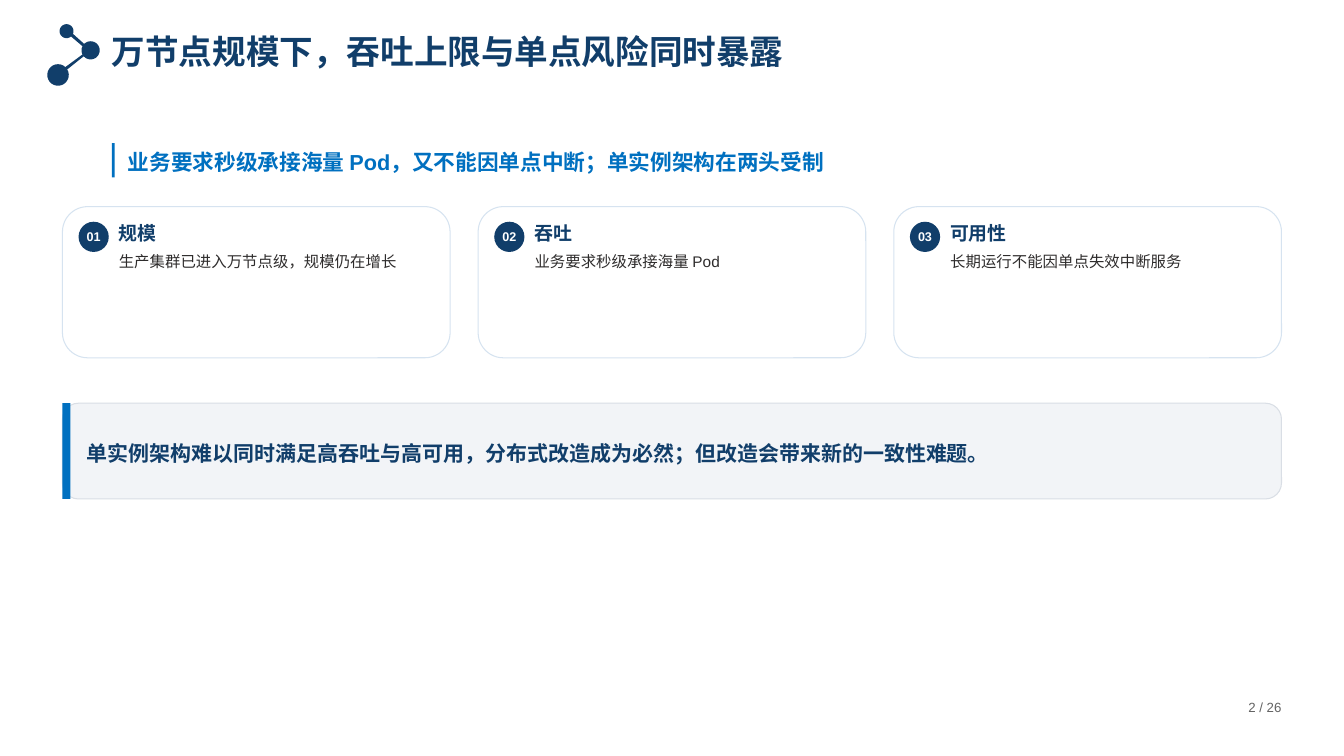
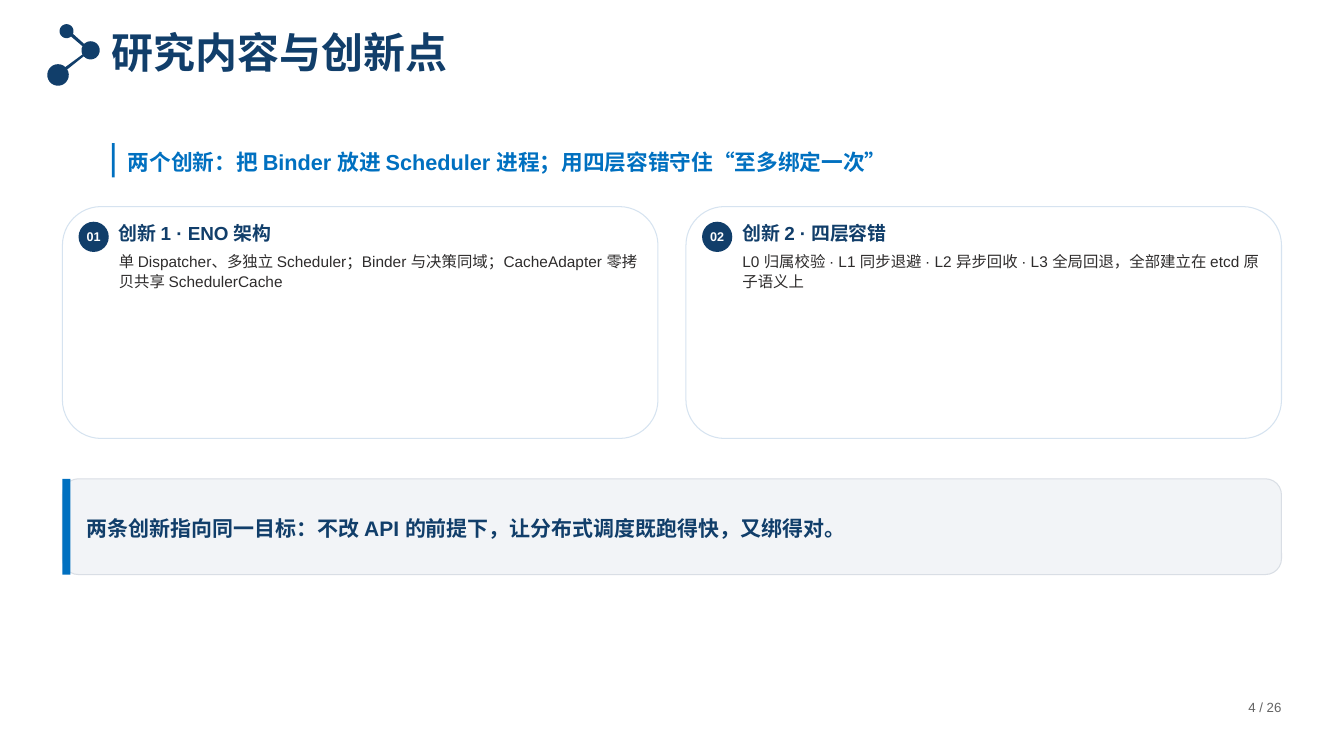
from dataclasses import dataclass
from math import cos, radians, sin

from pptx import Presentation
from pptx.dml.color import RGBColor
from pptx.enum.shapes import MSO_SHAPE
from pptx.enum.text import MSO_ANCHOR, PP_ALIGN
from pptx.util import Pt


@dataclass(frozen=True)
class Theme:
    font: str = "Arial"
    navy: str = "113E6A"
    blue: str = "0070C0"
    white: str = "FFFFFF"
    ink: str = "2E2C2C"
    grey: str = "636363"
    card_line: str = "D6E3F0"
    band_fill: str = "F2F4F7"
    band_line: str = "D9DEE5"
    lead_size: float = 15.5
    band_size: float = 15
    heading_size: float = 13.5
    body_size: float = 11
    footer_size: float = 9.5
    badge_size: float = 9


@dataclass(frozen=True)
class Box:
    left: float
    top: float
    width: float
    height: float

    def inner(self, left, top, width, height):
        return Box(self.left + left, self.top + top, width, height)

    def lengths(self):
        return Pt(self.left), Pt(self.top), Pt(self.width), Pt(self.height)


THEME = Theme()
PAGE_WIDTH, PAGE_HEIGHT = 960.48, 540
MARGIN = 44.64
CONTENT_WIDTH = PAGE_WIDTH - 2 * MARGIN
TITLE_LEFT = 79.92
CARD_TOP, CARD_GAP = 147.6, 20
BAND_HEIGHT = 68.4
TOTAL_PAGES = 26


def paint(shape, fill, line=None):
    shape.shadow.inherit = False
    shape.fill.solid()
    shape.fill.fore_color.rgb = RGBColor.from_string(fill)
    if line:
        shape.line.color.rgb = RGBColor.from_string(line)
        shape.line.width = Pt(0.75)
    else:
        shape.line.fill.background()
    return shape


def add_figure(page, kind, box, fill, line=None):
    return paint(page.shapes.add_shape(kind, *box.lengths()), fill, line)


def prepare_frame(shape, anchor=MSO_ANCHOR.MIDDLE):
    frame = shape.text_frame
    frame.word_wrap = True
    frame.vertical_anchor = anchor
    frame.margin_left = frame.margin_top = frame.margin_right = frame.margin_bottom = 0
    return frame


def add_frame(page, box, anchor=MSO_ANCHOR.MIDDLE):
    return prepare_frame(page.shapes.add_textbox(*box.lengths()), anchor)


def write(frame, text, *, size, colour, bold=False, align=PP_ALIGN.LEFT,
          spacing=None, before=None):
    para = frame.paragraphs[0] if not frame.text else frame.add_paragraph()
    para.alignment = align
    if spacing:
        para.line_spacing = spacing
    if before:
        para.space_before = Pt(before)
    span = para.add_run()
    span.text = text
    span.font.name = THEME.font
    span.font.size = Pt(size)
    span.font.bold = bold
    span.font.color.rgb = RGBColor.from_string(colour)


def arc(centre_x, centre_y, radius, start, end, steps=24):
    angles = [radians(start + (end - start) * step / steps) for step in range(steps + 1)]
    return [(Pt(centre_x + radius * cos(angle)), Pt(centre_y + radius * sin(angle)))
            for angle in angles]


def add_node_icon(page, box):
    lower = (box.left + 7.7, box.top + 36.3, 7.7)
    middle = (box.left + 31, box.top + 18.7, 6.5)
    upper = (box.left + 13.8, box.top + 5, 5)
    outline = (arc(*lower, -31, 313) + arc(*middle, 153, 207)
               + arc(*upper, 50, 383) + arc(*middle, 225, 499))
    builder = page.shapes.build_freeform(*outline[0])
    builder.add_line_segments(outline[1:], close=True)
    paint(builder.convert_to_shape(), THEME.navy)


def add_header(page, box, title, size):
    add_node_icon(page, Box(33.8, 17.3, 37.5, 44))
    write(add_frame(page, box), title, size=size, colour=THEME.navy, bold=True)


def add_lead(page, box, text):
    add_figure(page, MSO_SHAPE.RECTANGLE, box.inner(0, 2.16, 2.16, 24.48), THEME.blue)
    frame = add_frame(page, box.inner(11.52, 0, box.width - 11.52, box.height))
    write(frame, text, size=THEME.lead_size, colour=THEME.blue, bold=True)


def add_card(page, box, number, heading, body):
    add_figure(page, MSO_SHAPE.ROUNDED_RECTANGLE, box, THEME.white, THEME.card_line)
    badge = add_figure(page, MSO_SHAPE.OVAL, box.inner(11.52, 10.8, 21.6, 21.6), THEME.navy)
    write(prepare_frame(badge), f"{number:02}", size=THEME.badge_size,
          colour=THEME.white, bold=True, align=PP_ALIGN.CENTER)
    frame = add_frame(page, box.inner(40.32, 10.8, box.width - 50.4, box.height - 15.84),
                      MSO_ANCHOR.TOP)
    write(frame, heading, size=THEME.heading_size, colour=THEME.navy, bold=True)
    write(frame, body, size=THEME.body_size, colour=THEME.ink, spacing=1.1, before=4)


def add_cards(page, box, cards):
    width = (box.width - CARD_GAP * (len(cards) - 1)) / len(cards)
    for index, (heading, body) in enumerate(cards):
        card = box.inner(index * (width + CARD_GAP), 0, width, box.height)
        add_card(page, card, index + 1, heading, body)


def add_conclusion(page, box, text):
    add_figure(page, MSO_SHAPE.ROUNDED_RECTANGLE, box, THEME.band_fill, THEME.band_line)
    add_figure(page, MSO_SHAPE.RECTANGLE, box.inner(0, 0, 5.76, box.height), THEME.blue)
    frame = add_frame(page, box.inner(17.28, 7.2, box.width - 36, box.height - 14.4))
    write(frame, text, size=THEME.band_size, colour=THEME.navy, bold=True, spacing=1.15)


def add_footer(page, box, number):
    write(add_frame(page, box, MSO_ANCHOR.TOP), f"{number} / {TOTAL_PAGES}",
          size=THEME.footer_size, colour=THEME.grey, align=PP_ALIGN.RIGHT)


def add_card_page(deck, *, number, title, title_size, lead, cards, card_height,
                  conclusion, conclusion_top):
    page = deck.slides.add_slide(deck.slide_layouts[6])
    add_header(page, Box(TITLE_LEFT, 12.24, 630, 48.96), title, title_size)
    add_lead(page, Box(TITLE_LEFT, 100.08, 817.92, 30.24), lead)
    add_cards(page, Box(MARGIN, CARD_TOP, CONTENT_WIDTH, card_height), cards)
    add_conclusion(page, Box(MARGIN, conclusion_top, CONTENT_WIDTH, BAND_HEIGHT), conclusion)
    add_footer(page, Box(PAGE_WIDTH - MARGIN - 67, 499.68, 67, 17.28), number)


def main():
    deck = Presentation()
    deck.slide_width, deck.slide_height = Pt(PAGE_WIDTH), Pt(PAGE_HEIGHT)
    add_card_page(
        deck,
        number=2,
        title="万节点规模下，吞吐上限与单点风险同时暴露",
        title_size=24,
        lead="业务要求秒级承接海量 Pod，又不能因单点中断；单实例架构在两头受制",
        cards=[
            ("规模", "生产集群已进入万节点级，规模仍在增长"),
            ("吞吐", "业务要求秒级承接海量 Pod"),
            ("可用性", "长期运行不能因单点失效中断服务"),
        ],
        card_height=108,
        conclusion="单实例架构难以同时满足高吞吐与高可用，分布式改造成为必然；但改造会带来新的一致性难题。",
        conclusion_top=288,
    )
    add_card_page(
        deck,
        number=4,
        title="研究内容与创新点",
        title_size=30,
        lead="两个创新：把 Binder 放进 Scheduler 进程；用四层容错守住“至多绑定一次”",
        cards=[
            ("创新 1 · ENO 架构",
             "单 Dispatcher、多独立 Scheduler；Binder 与决策同域；"
             "CacheAdapter 零拷贝共享 SchedulerCache"),
            ("创新 2 · 四层容错",
             "L0 归属校验 · L1 同步退避 · L2 异步回收 · L3 全局回退，"
             "全部建立在 etcd 原子语义上"),
        ],
        card_height=165.6,
        conclusion="两条创新指向同一目标：不改 API 的前提下，让分布式调度既跑得快，又绑得对。",
        conclusion_top=342,
    )
    deck.save("out.pptx")


if __name__ == "__main__":
    main()
